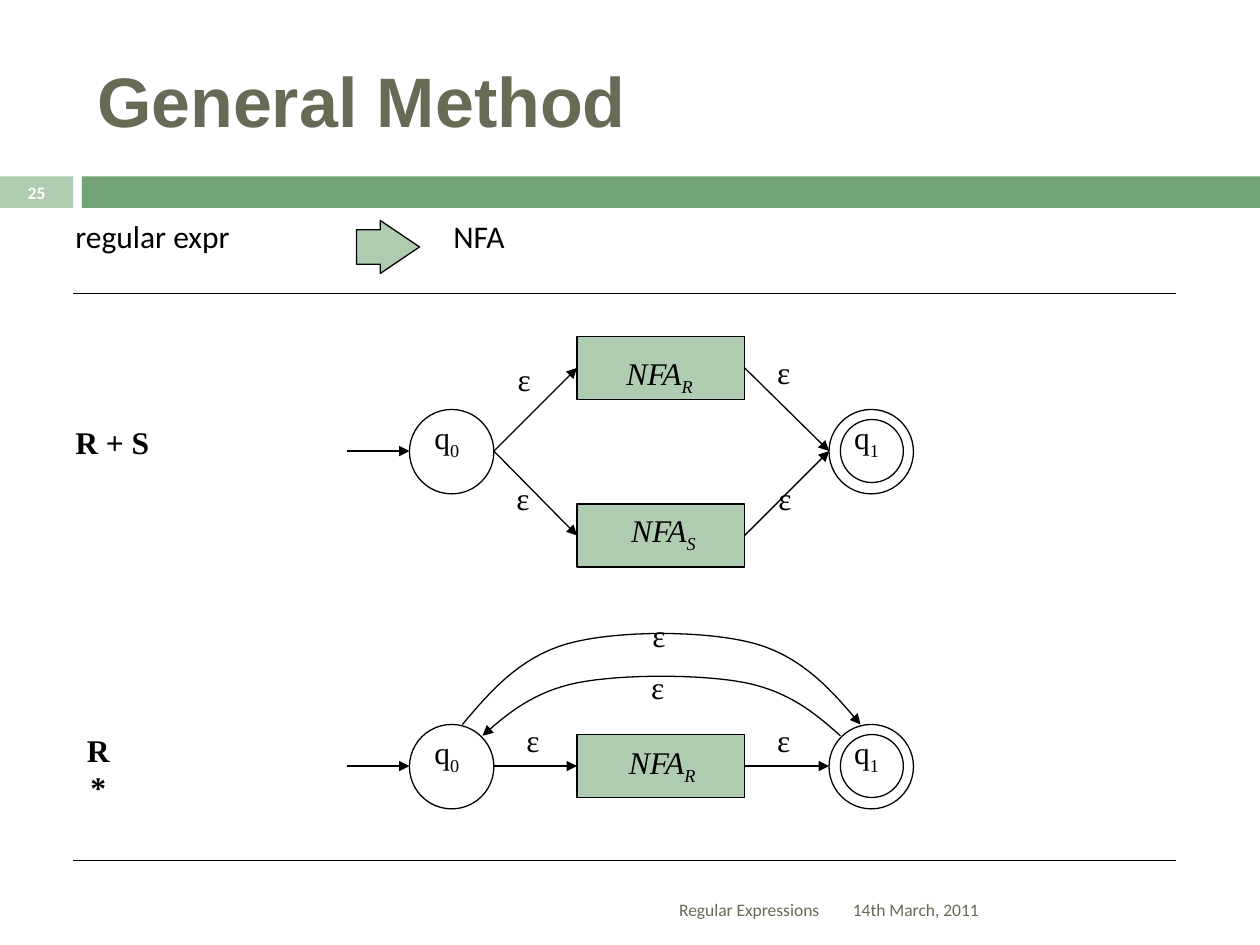
from dataclasses import dataclass
from lxml import etree
from pptx import Presentation
from pptx.dml.color import RGBColor as RGB
from pptx.enum.shapes import MSO_CONNECTOR as CONN, MSO_SHAPE as SHAPE
from pptx.enum.text import MSO_ANCHOR as ANCHOR, PP_ALIGN as ALIGN
from pptx.oxml.ns import qn
from pptx.util import Inches, Pt


@dataclass(frozen=True)
class Theme:
    ink: RGB = RGB(0x00, 0x00, 0x00)
    olive: RGB = RGB(0x67, 0x6A, 0x55)
    green: RGB = RGB(0x72, 0xA3, 0x76)
    pale: RGB = RGB(0xB0, 0xCC, 0xB0)
    white: RGB = RGB(0xFF, 0xFF, 0xFF)
    sans: str = "Calibri"
    serif: str = "Times New Roman"
    head: str = "Arial"
    big: float = 40
    body: float = 18
    small: float = 10
    rule: float = 0.75


class Deck:
    def __init__(self, slide, theme):
        self.slide, self.theme = slide, theme
        self.shapes = slide.shapes

    def font(self, para, size, name, color, bold=False, italic=False):
        font = para.font
        font.size, font.name = Pt(size), name
        font.bold, font.italic = bold, italic
        font.color.rgb = color

    def title(self, text, x, y, w, h):
        box = self.shapes.title
        box.left, box.top, box.width, box.height = map(Inches, (x, y, w, h))
        frame = box.text_frame
        frame.text, frame.vertical_anchor = text, ANCHOR.MIDDLE
        para = frame.paragraphs[0]
        para.alignment = ALIGN.LEFT
        self.font(para, self.theme.big, self.theme.head, self.theme.olive, bold=True)

    def text(self, text, x, y, w, h, sub="", name=None, size=None, color=None,
             align=ALIGN.LEFT, anchor=ANCHOR.TOP, fill=None, **style):
        look = self.theme
        box = self.shapes.add_textbox(*map(Inches, (x, y, w, h)))
        if fill:
            box.fill.solid()
            box.fill.fore_color.rgb = fill
        frame = box.text_frame
        frame.word_wrap, frame.vertical_anchor = True, anchor
        para = frame.paragraphs[0]
        para.alignment = align
        para.add_run().text = text
        if sub:
            run = para.add_run()
            run.text = sub
            run.font._element.set("baseline", "-25000")
        self.font(para, size or look.body, name or look.serif, color or look.ink, **style)

    def shape(self, kind, x, y, w, h, fill=None, line=True):
        item = self.shapes.add_shape(kind, *map(Inches, (x, y, w, h)))
        self.paint(item, fill, line)
        return item

    def paint(self, item, fill=None, line=True):
        item.shadow.inherit = False
        if fill:
            item.fill.solid()
            item.fill.fore_color.rgb = fill
        else:
            item.fill.background()
        if line:
            self.stroke(item)
        else:
            item.line.fill.background()

    def stroke(self, item, arrow=False):
        item.line.color.rgb = self.theme.ink
        item.line.width = Pt(self.theme.rule)
        if arrow:
            etree.SubElement(item.line._get_or_add_ln(), qn("a:tailEnd"), type="triangle")

    def line(self, start, end, arrow=True, source=None, target=None):
        item = self.shapes.add_connector(CONN.STRAIGHT, *map(Inches, start + end))
        self.stroke(item, arrow)
        etree.SubElement(item._element.spPr, qn("a:effectLst"))
        if source:
            item.begin_connect(source, 3)
        if target:
            item.end_connect(target, 1)

    def arc(self, mid, half, way):
        """Symmetric curve; half runs from the start to the top, as (offset, y)."""
        left = [(mid - way * dx, y) for dx, y in half]
        right = [(mid + way * dx, y) for dx, y in reversed(half)]
        nodes = left + right
        steps = 16
        dots = []
        for i in range(0, len(nodes) - 1, 3):
            a, b, c, d = nodes[i:i + 4]
            for k in range(1, steps + 1):
                t = k / steps
                u = 1 - t
                dots.append(tuple(
                    Inches(u**3 * p + 3 * u * u * t * q + 3 * u * t * t * r + t**3 * s)
                    for p, q, r, s in zip(a, b, c, d)))
        pen = self.shapes.build_freeform(*map(Inches, nodes[0]))
        pen.add_line_segments(dots, close=False)
        item = pen.convert_to_shape()
        self.paint(item)
        self.stroke(item, arrow=True)

    def state(self, x, mid, sub, final=False):
        top = mid - 0.33
        self.shape(SHAPE.OVAL, x, top, 0.67, 0.67)
        if final:
            self.shape(SHAPE.OVAL, x + 0.09, top + 0.08, 0.5, 0.5)
        self.text("q", x + 0.1, top + 0.02, 0.47, 0.5, sub=sub)

    def block(self, y, sub, x, top):
        box = self.shape(SHAPE.RECTANGLE, 4.58, y, 1.33, 0.5, self.theme.pale)
        self.text("NFA", x, top, 0.81, 0.4, sub=sub, align=ALIGN.CENTER,
                  fill=self.theme.pale, italic=True)
        return box

    def ends(self, mid):
        self.line((2.75, mid), (3.25, mid))
        self.state(3.25, mid, "0")
        self.state(6.58, mid, "1", final=True)

    def marks(self, spots):
        for x, y in spots:
            self.text("ε", x, y, 0.35, 0.5)


def main():
    prs = Presentation()
    prs.slide_width, prs.slide_height = Inches(10), Inches(7.5)
    look = Theme()
    deck = Deck(prs.slides.add_slide(prs.slide_layouts[5]), look)

    # Header bar and title
    deck.shape(SHAPE.RECTANGLE, 0, 1.4, 0.58, 0.25, look.pale, line=False)
    deck.shape(SHAPE.RECTANGLE, 0.65, 1.4, 9.35, 0.25, look.green, line=False)
    deck.title("General Method", 0.67, 0.25, 8.92, 1.08)

    # Conversion line and rules
    deck.text("regular expr", 0.5, 1.67, 1.87, 0.5, name=look.sans)
    deck.text("NFA", 3.5, 1.67, 0.85, 0.5, name=look.sans)
    arrow = deck.shape(SHAPE.RIGHT_ARROW, 2.83, 1.75, 0.5, 0.42, look.pale)
    arrow.adjustments[0], arrow.adjustments[1] = 0.65, 0.74
    for y in (2.33, 6.83):
        deck.line((0.58, y), (9.33, y), arrow=False)

    # Union: R + S
    mid = 3.58
    deck.text("R + S", 0.5, 3.31, 0.8, 0.4, bold=True)
    deck.ends(mid)
    for y, sub, x, top in ((2.67, "R", 4.83, 2.76), (4, "S", 4.86, 4.01)):
        box = deck.block(y, sub, x, top)
        deck.line((3.92, mid), (4.58, y + 0.25), target=box)
        deck.line((5.91, y + 0.25), (6.58, mid), source=box)
    deck.marks([(6.07, 2.75), (6.08, 3.75), (4, 3.75), (4.01, 2.81)])

    # Closure: R*
    mid = 6.08
    deck.text("R*", 0.53, 5.75, 0.5, 0.4, align=ALIGN.CENTER, bold=True)
    deck.ends(mid)
    box = deck.block(5.83, "R", 4.85, 5.85)
    deck.line((3.92, mid), (4.58, mid), target=box)
    deck.line((5.91, mid), (6.58, mid), source=box)
    deck.arc(5.25, [(1.42, 5.84), (1.22, 5.66), (1.01, 5.49), (0.67, 5.42), (0.32, 5.35)], -1)
    deck.arc(5.25, [(1.58, 5.75), (1.36, 5.49), (1.13, 5.22), (0.75, 5.11), (0.36, 5)], 1)
    deck.marks([(6.07, 5.67), (4.08, 5.67), (5.08, 4.84), (5.07, 5.25)])

    # Footer and slide number
    foot = dict(name=look.sans, size=look.small, anchor=ANCHOR.MIDDLE)
    deck.text("14th March, 2011", 6.67, 7.02, 2.92, 0.4, color=look.olive, **foot)
    deck.text("Regular Expressions", 0.67, 7.02, 5.93, 0.4, color=look.olive,
              align=ALIGN.RIGHT, **foot)
    deck.text("25", 0, 1.39, 0.58, 0.27, color=look.white, align=ALIGN.CENTER,
              bold=True, **foot)

    prs.save("out.pptx")


if __name__ == "__main__":
    main()
